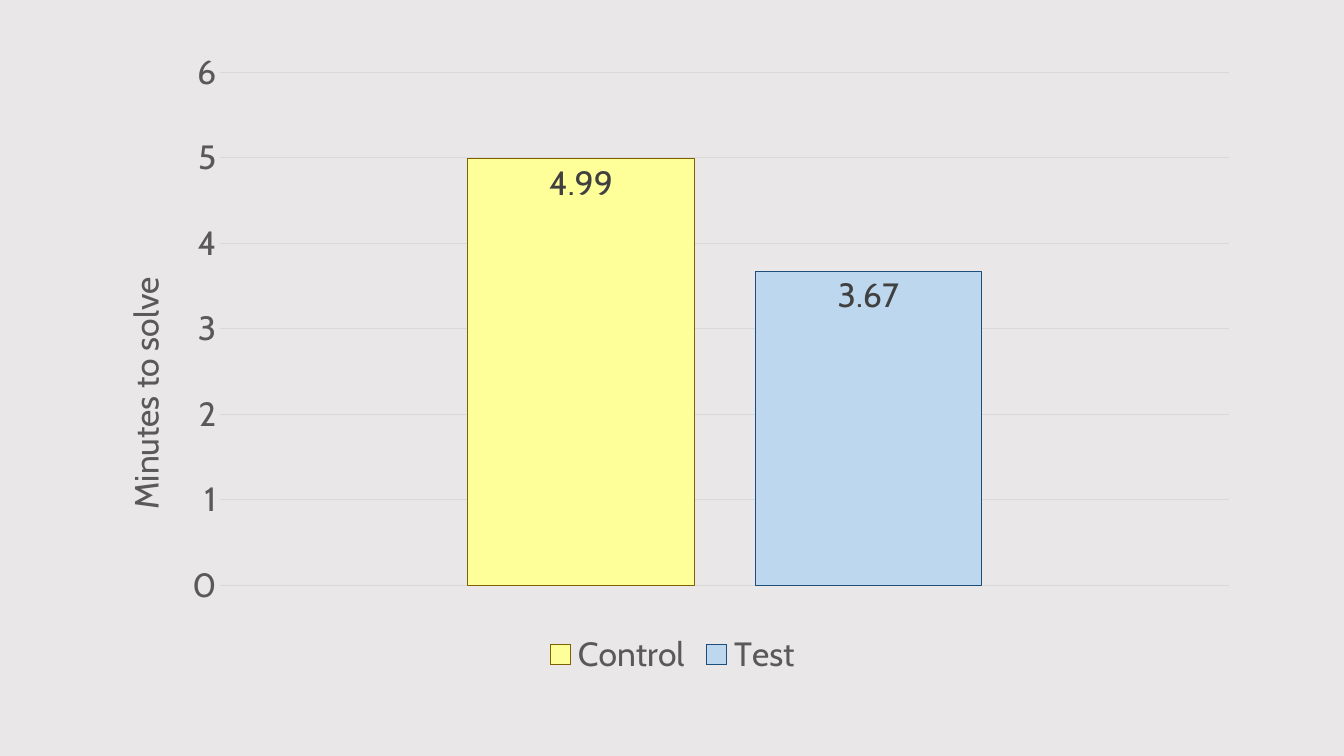
from dataclasses import dataclass

from pptx import Presentation
from pptx.chart.data import CategoryChartData
from pptx.dml.color import RGBColor
from pptx.enum.chart import XL_CHART_TYPE as ChartType
from pptx.enum.chart import XL_LABEL_POSITION as LabelPosition
from pptx.enum.chart import XL_LEGEND_POSITION as LegendPosition
from pptx.enum.chart import XL_TICK_MARK as TickMark
from pptx.oxml.ns import qn
from pptx.oxml.xmlchemy import OxmlElement
from pptx.util import Inches, Pt


@dataclass(frozen=True)
class Theme:
    """Colours and type sizes of the slide."""
    background: str = "E9E7E7"
    text: str = "595959"
    label: str = "404040"
    grid: str = "D9D9D9"
    font: str = "Cabin"
    size: int = 24
    line: float = 0.75


THEME = Theme()
SERIES = (
    ("Control", 4.99, "FFFF99", "806000"),
    ("Test", 3.67, "BDD7EE", "1F4E79"),
)


def style_font(font, color):
    """Apply the theme's type with the given colour."""
    font.name = THEME.font
    font.size = Pt(THEME.size)
    font.bold = False
    font.color.rgb = RGBColor.from_string(color)


def style_line(line, color):
    """Apply the theme's thin line in the given colour."""
    line.color.rgb = RGBColor.from_string(color)
    line.width = Pt(THEME.line)


def make_layout(target=None, **shares):
    """Return a manual layout given as shares of the chart's size."""
    layout = OxmlElement("c:layout")
    manual = OxmlElement("c:manualLayout")
    layout.append(manual)
    settings = {"layoutTarget": target} if target else {}
    settings |= {"xMode": "edge", "yMode": "edge"} | shares
    for name, value in settings.items():
        setting = OxmlElement(f"c:{name}")
        setting.set("val", str(value))
        manual.append(setting)
    return layout


def remove_layout(element):
    """Remove any layout directly inside the element."""
    for layout in element.findall(qn("c:layout")):
        element.remove(layout)


def style_axes(chart):
    """Hide the category axis and format the value axis with its title."""
    chart.category_axis.visible = False
    axis = chart.value_axis
    axis.minimum_scale, axis.maximum_scale, axis.major_unit = 0, 6, 1
    axis.major_tick_mark = axis.minor_tick_mark = TickMark.NONE
    axis.format.line.fill.background()
    axis.tick_labels.number_format = "General"
    axis.tick_labels.number_format_is_linked = False
    style_font(axis.tick_labels.font, THEME.text)
    style_line(axis.major_gridlines.format.line, THEME.grid)

    title = axis.axis_title
    frame = title.text_frame
    frame.text = "Minutes to solve"
    style_font(frame.paragraphs[0].runs[0].font, THEME.text)
    body = frame._txBody.find(qn("a:bodyPr"))
    body.set("rot", "-5400000")
    body.set("vert", "horz")
    remove_layout(title._element)
    title._element.find(qn("c:tx")).addnext(make_layout(x=0.02, y=0.36))


def style_columns(plot):
    """Space the columns, colour them and label their values."""
    plot.gap_width, plot.overlap = 219, -27
    plot.vary_by_categories = False
    for series, (_, _, fill, outline) in zip(plot.series, SERIES):
        series.format.fill.solid()
        series.format.fill.fore_color.rgb = RGBColor.from_string(fill)
        style_line(series.format.line, outline)
        labels = series.data_labels
        labels.show_value = True
        labels.position = LabelPosition.INSIDE_END
        style_font(labels.font, THEME.label)


def add_solving_chart(slide, left, top, width, height):
    """Place the column chart of solving times in the given box."""
    data = CategoryChartData()
    data.categories = ["1"]
    for name, value, _, _ in SERIES:
        data.add_series(name, [value])
    chart = slide.shapes.add_chart(
        ChartType.COLUMN_CLUSTERED, left, top, width, height, data).chart
    chart.has_title = False
    style_font(chart.font, THEME.text)
    chart.has_legend = True
    chart.legend.position = LegendPosition.BOTTOM
    chart.legend.include_in_layout = False
    style_font(chart.legend.font, THEME.text)
    style_axes(chart)
    style_columns(chart.plots[0])
    area = chart._chartSpace.chart.plotArea
    remove_layout(area)
    area.insert(0, make_layout("inner", x=0.11, y=0.05, w=0.87, h=0.8))


def main():
    """Build the slide and save it."""
    presentation = Presentation()
    presentation.slide_width = Inches(13.33)
    presentation.slide_height = Inches(7.5)
    slide = presentation.slides.add_slide(presentation.slide_layouts[6])
    slide.background.fill.solid()
    slide.background.fill.fore_color.rgb = RGBColor.from_string(THEME.background)
    add_solving_chart(slide, Inches(0.92), Inches(0.4), Inches(11.5), Inches(6.36))
    presentation.save("out.pptx")


if __name__ == "__main__":
    main()
